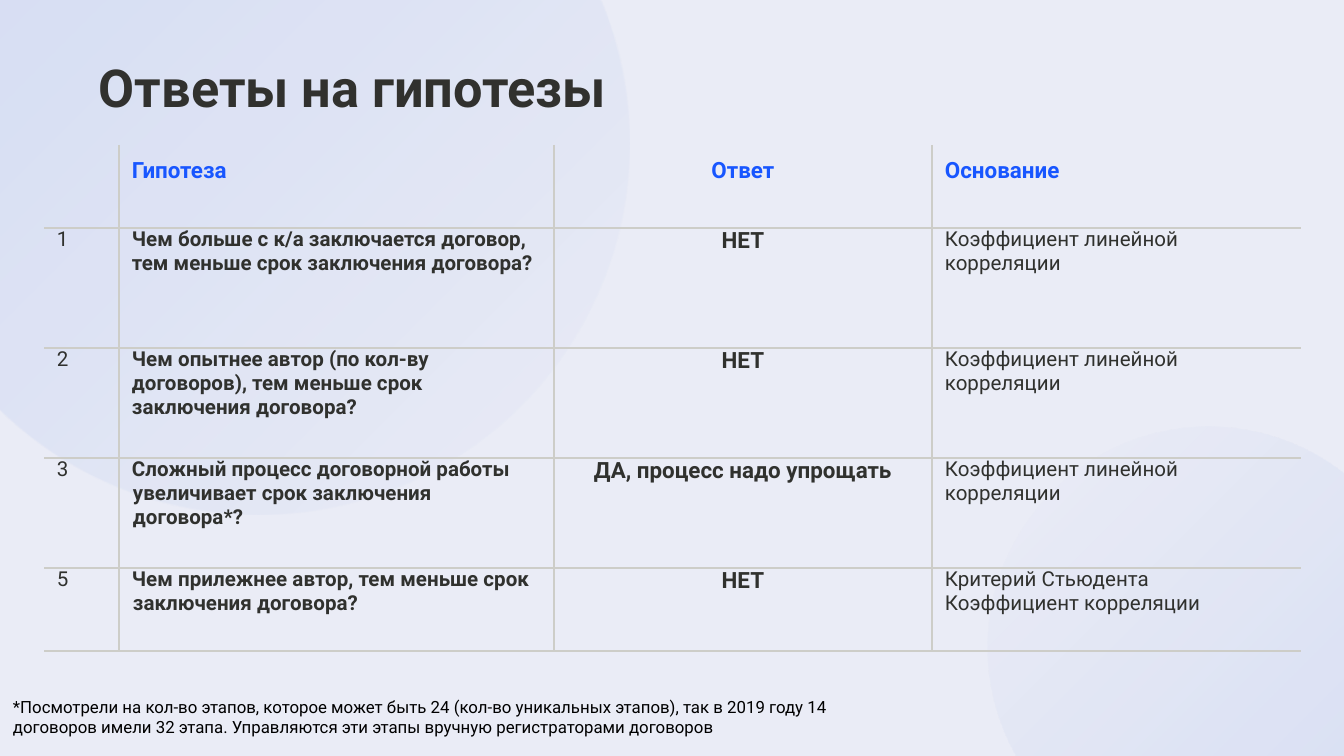
import pptx
import pptx.dml.color
import pptx.enum.shapes
import pptx.enum.text
import pptx.oxml
import pptx.oxml.ns
import pptx.util

PX = 914400 / 134.4
INK, BLUE, RULE, GLOW = "30312E", "1856FF", "CDCDC8", "91ADE9"
LEFT, CENTER = pptx.enum.text.PP_ALIGN.LEFT, pptx.enum.text.PP_ALIGN.CENTER

COLUMNS = [75, 435, 378, 369]
ROWS = [83, 120, 110, 110, 83]
HEADERS = ["", "Гипотеза", "Ответ", "Основание"]
CORRELATION = "Коэффициент линейной корреляции"
HYPOTHESES = [
    ["1", "Чем больше с к/а заключается договор, тем меньше срок заключения договора?", "НЕТ", CORRELATION],
    ["2", "Чем опытнее автор (по кол-ву договоров), тем меньше срок заключения договора?", "НЕТ", CORRELATION],
    ["3", "Сложный процесс договорной работы увеличивает срок заключения договора*?",
     "ДА, процесс надо упрощать", CORRELATION],
    ["5", "Чем прилежнее автор, тем меньше срок заключения договора?", "НЕТ",
     "Критерий Стьюдента\nКоэффициент корреляции"],
]
HEADER_FORMAT = {"size": 12, "bold": True, "color": BLUE}
COLUMN_FORMATS = [
    {"size": 11, "bold": False, "color": INK},
    {"size": 11, "bold": True, "color": INK},
    {"size": 12, "bold": True, "color": INK},
    {"size": 11, "bold": False, "color": INK},
]
FOOTNOTE = (
    "*Посмотрели на кол-во этапов, которое может быть 24 (кол-во уникальных этапов), "
    "так в 2019 году 14 договоров имели 32 этапа. "
    "Управляются эти этапы вручную регистраторами договоров"
)


def emu(*lengths):
    return [pptx.util.Emu(round(length * PX)) for length in lengths]


def rgb(color):
    return pptx.dml.color.RGBColor.from_string(color)


def drawing_xml(xml):
    return pptx.oxml.parse_xml(xml.replace(">", f" {pptx.oxml.ns.nsdecls('a')}>", 1))


class SlideBuilder:
    """Draws the elements of one slide in a shared style."""

    def __init__(self, deck, background, font="Roboto"):
        self.font = font
        self.slide = deck.slides.add_slide(deck.slide_layouts[6])
        fill = self.slide.background.fill
        fill.solid()
        fill.fore_color.rgb = rgb(background)

    def set_text(self, frame, text, style, align=LEFT, hanging=0):
        frame.word_wrap = True
        for index, line in enumerate(text.split("\n")):
            paragraph = frame.add_paragraph() if index else frame.paragraphs[0]
            paragraph.alignment = align
            if hanging:
                properties = paragraph._p.get_or_add_pPr()
                properties.set("marL", str(emu(hanging)[0]))
                properties.set("indent", str(emu(-hanging)[0]))
            run = paragraph.add_run()
            run.text = line
            values = {"name": self.font, "size": pptx.util.Pt(style["size"]), "bold": style["bold"]}
            for name, value in values.items():
                setattr(run.font, name, value)
            run.font.color.rgb = rgb(style["color"])

    def set_margins(self, holder, side, end):
        margins = {"margin_left": side, "margin_right": side, "margin_top": end, "margin_bottom": end}
        for name, value in margins.items():
            setattr(holder, name, emu(value)[0])

    def text(self, left, top, width, height, content, style):
        box = self.slide.shapes.add_textbox(*emu(left, top, width, height))
        self.set_margins(box.text_frame, 13, 13)
        self.set_text(box.text_frame, content, style)

    def glow(self, left, top, diameter, stops, angle):
        circle = self.slide.shapes.add_shape(
            pptx.enum.shapes.MSO_SHAPE.OVAL, *emu(left, top, diameter, diameter))
        circle.shadow.inherit = False
        circle.line.fill.background()
        steps = "".join(
            f'<a:gs pos="{position * 1000}"><a:srgbClr val="{GLOW}">'
            f'<a:alpha val="{opacity * 1000}"/></a:srgbClr></a:gs>'
            for position, opacity in stops)
        gradient = drawing_xml(
            f'<a:gradFill rotWithShape="1"><a:gsLst>{steps}</a:gsLst>'
            f'<a:lin ang="{angle * 60000}" scaled="0"/></a:gradFill>')
        circle._element.spPr.insert(2, gradient)

    def border(self, cell, side, visible):
        paint = f'<a:solidFill><a:srgbClr val="{RULE}"/></a:solidFill>' if visible else "<a:noFill/>"
        line = drawing_xml(f'<a:ln{side} w="12700">{paint}</a:ln{side}>')
        cell._tc.get_or_add_tcPr().append(line)

    def table(self, left, top, columns, rows, content):
        size = emu(left, top, sum(columns), sum(rows))
        grid = self.slide.shapes.add_table(len(rows), len(columns), *size).table
        grid.first_row = grid.horz_banding = False
        for column, width in zip(grid.columns, emu(*columns)):
            column.width = width
        for row, height in zip(grid.rows, emu(*rows)):
            row.height = height
        for r, texts in enumerate(content):
            for c, text in enumerate(texts):
                cell = grid.cell(r, c)
                edges = {"L": c > 0, "R": c < len(columns) - 1, "T": r > 0, "B": True}
                for side, visible in edges.items():
                    self.border(cell, side, visible)
                cell.fill.background()
                self.set_margins(cell, 13, 0 if r else 13)
                if text:
                    style = COLUMN_FORMATS[c] if r else HEADER_FORMAT
                    hanging = 1 if r > 2 and c in (1, 2) else 0
                    self.set_text(cell.text_frame, text, style, CENTER if c == 2 else LEFT, hanging)


def main():
    deck = pptx.Presentation()
    deck.slide_width, deck.slide_height = emu(1344, 756)
    answers = SlideBuilder(deck, "EAECF6")
    answers.glow(988, 427, 441, [(0, 0), (10, 0), (90, 20), (100, 20)], 45)
    answers.glow(-112, -227, 742, [(0, 0), (75, 20), (100, 20)], 225)
    answers.text(86, 42, 1102, 83, "Ответы на гипотезы", {"size": 28, "bold": True, "color": "31312E"})
    answers.table(44, 145, COLUMNS, ROWS, [HEADERS, *HYPOTHESES])
    answers.text(0, 684, 879, 89, FOOTNOTE, {"size": 9, "bold": False, "color": "000000"})
    deck.save("out.pptx")


if __name__ == "__main__":
    main()
